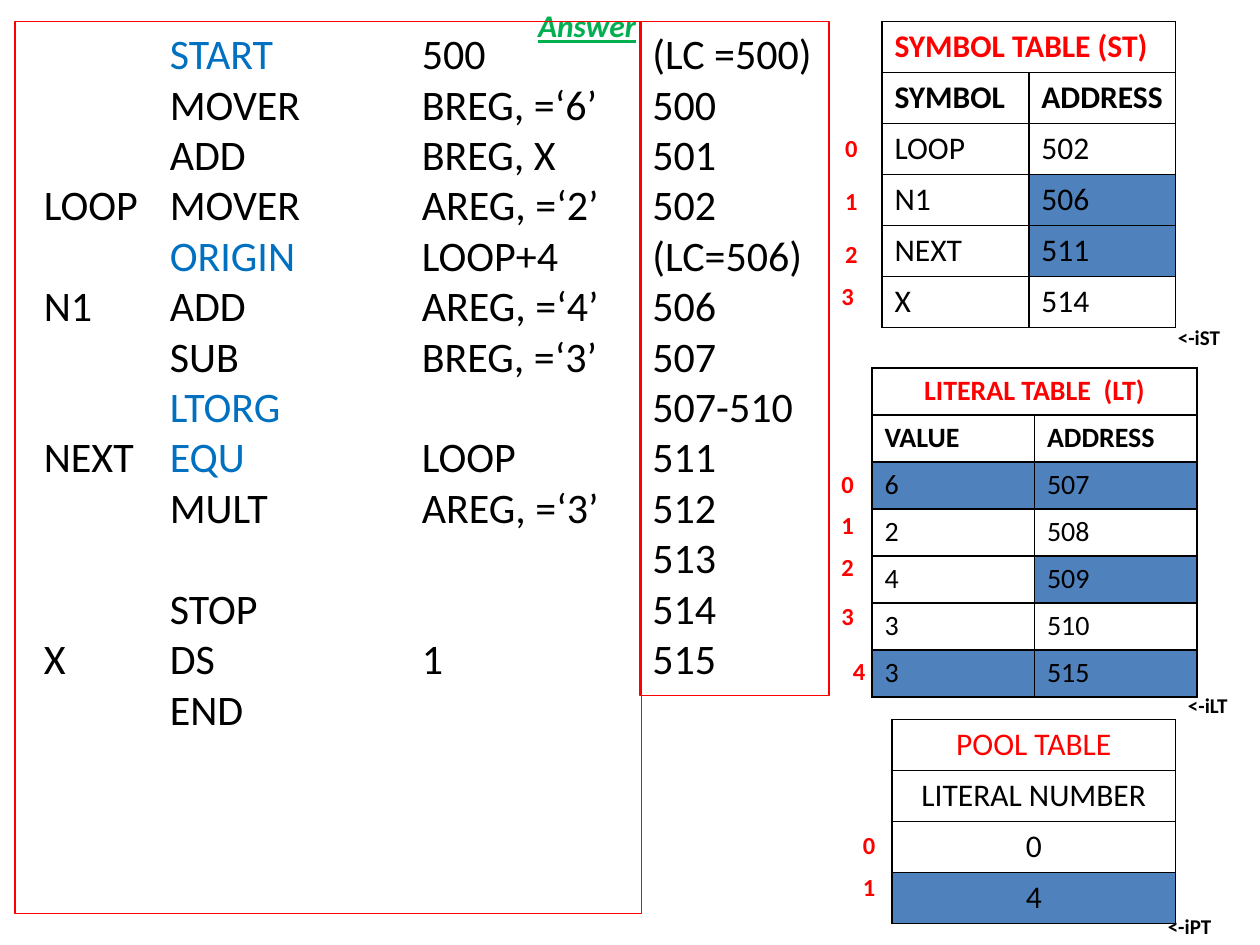
from dataclasses import dataclass

import pptx
import pptx.dml.color
import pptx.enum.shapes
import pptx.enum.text
import pptx.oxml
import pptx.oxml.ns
import pptx.util
from lxml import etree

Inches = pptx.util.Inches
Pt = pptx.util.Pt
RGBColor = pptx.dml.color.RGBColor
PP_ALIGN = pptx.enum.text.PP_ALIGN
qn = pptx.oxml.ns.qn

BLACK = RGBColor(0, 0, 0)
RED = RGBColor(0xFF, 0, 0)
BLUE = RGBColor(0, 0x70, 0xC0)
GREEN = RGBColor(0, 0xB0, 0x50)
HIGHLIGHT = RGBColor(0x4F, 0x81, 0xBD)
FONT = "Calibri"


@dataclass
class CodeLine:
    label: str
    opcode: str
    operand: str = ""
    directive: bool = False
    gap: float = 0


@dataclass
class Grid:
    left: float
    top: float
    width: float
    height: float
    size: int
    rows: list[list[str]]
    filled: set[tuple[int, int]]
    bold_rows: int = 2
    title_align: PP_ALIGN = PP_ALIGN.LEFT
    body_align: PP_ALIGN = PP_ALIGN.LEFT


@dataclass
class Label:
    text: str
    left: float
    top: float
    width: float = 0.3
    height: float = 0.34
    size: int = 14
    color: RGBColor = RED


CODE = [
    CodeLine("", "START", "500", True),
    CodeLine("", "MOVER", "BREG, =‘6’"),
    CodeLine("", "ADD", "BREG, X"),
    CodeLine("LOOP", "MOVER", "AREG, =‘2’"),
    CodeLine("", "ORIGIN", "LOOP+4", True),
    CodeLine("N1", "ADD", "AREG, =‘4’"),
    CodeLine("", "SUB", "BREG, =‘3’"),
    CodeLine("", "LTORG", "", True),
    CodeLine("NEXT", "EQU", "LOOP", True),
    CodeLine("", "MULT", "AREG, =‘3’"),
    CodeLine("", "STOP", gap=29),
    CodeLine("X", "DS", "1"),
    CodeLine("", "END"),
]
COUNTER = ["(LC =500)", "500", "501", "502", "(LC=506)", "506", "507",
           "507-510", "511", "512", "513", "514", "515"]
GRIDS = [
    Grid(7, 0.17, 2.33, 2.43, 18,
         [["SYMBOL TABLE (ST)", ""], ["SYMBOL", "ADDRESS"], ["LOOP", "502"],
          ["N1", "506"], ["NEXT", "511"], ["X", "514"]],
         {(3, 1), (4, 1)}),
    Grid(6.92, 2.92, 2.58, 2.61, 16,
         [["LITERAL TABLE  (LT)", ""], ["VALUE", "ADDRESS"], ["6", "507"],
          ["2", "508"], ["4", "509"], ["3", "510"], ["3", "515"]],
         {(2, 0), (2, 1), (4, 1), (6, 0), (6, 1)}, title_align=PP_ALIGN.CENTER),
    Grid(7.08, 5.71, 2.25, 1.62, 18,
         [["POOL TABLE"], ["LITERAL NUMBER"], ["0"], ["4"]], {(3, 0)},
         bold_rows=0, title_align=PP_ALIGN.CENTER, body_align=PP_ALIGN.CENTER),
]
INDEX_PLACES = [
    [(6.61, 1.01), (6.61, 1.43), (6.61, 1.85), (6.58, 2.18)],
    [(6.58, 3.67), (6.58, 4), (6.58, 4.33), (6.58, 4.72), (6.67, 5.16)],
    [(6.75, 6.54), (6.75, 6.87)],
]
POINTERS = [("<-iST", 9.25, 2.53), ("<-iLT", 9.33, 5.45), ("<-iPT", 9.17, 7.2)]


def style(font, size: int, color: RGBColor, bold: bool = False) -> None:
    font.name = FONT
    font.size = Pt(size)
    font.bold = bold
    font.color.rgb = color


def add_frame(s, left: float, top: float, width: float, height: float):
    sp = s.shapes.add_shape(pptx.enum.shapes.MSO_SHAPE.RECTANGLE, Inches(left),
                            Inches(top), Inches(width), Inches(height))
    sp.shadow.inherit = False
    sp.fill.background()
    sp.line.color.rgb = RED
    sp.line.width = Pt(0.75)
    return sp


def add_counter(s) -> None:
    tf = add_frame(s, 5.08, 0.17, 1.5, 5.35).text_frame
    tf.word_wrap = True
    tf.vertical_anchor = pptx.enum.text.MSO_ANCHOR.TOP
    tf.text = "\n".join(COUNTER)
    for p in tf.paragraphs:
        p.alignment = PP_ALIGN.LEFT
        style(p.font, 24, BLACK)


def set_tabs(p, stops: list[float]) -> None:
    tabs = etree.Element(qn("a:tabLst"))
    for stop in stops:
        etree.SubElement(tabs, qn("a:tab"), pos=str(Inches(stop)), algn="l")
    p._p.get_or_add_pPr().insert_element_before(tabs, "a:defRPr", "a:extLst")


def add_code(s) -> None:
    tf = s.shapes.add_textbox(Inches(0.25), Inches(0.17), Inches(4.67), Inches(5.35)).text_frame
    tf.word_wrap = True
    for i, line in enumerate(CODE):
        p = tf.paragraphs[0] if i == 0 else tf.add_paragraph()
        p.space_before = Pt(line.gap)
        style(p.font, 24, BLACK)
        set_tabs(p, [1, 3])
        p.add_run().text = line.label + "\t"
        r = p.add_run()
        r.text = line.opcode
        if line.directive:
            r.font.color.rgb = BLUE
        if line.operand:
            p.add_run().text = "\t" + line.operand


def add_borders(cell) -> None:
    tc_pr = cell._tc.get_or_add_tcPr()
    for i, side in enumerate(("a:lnL", "a:lnR", "a:lnT", "a:lnB")):
        ln = etree.Element(qn(side), w=str(Pt(1)))
        fill = etree.SubElement(ln, qn("a:solidFill"))
        etree.SubElement(fill, qn("a:srgbClr"), val=str(BLACK))
        tc_pr.insert(i, ln)


def add_grid(s, grid: Grid) -> None:
    n_rows, n_cols = len(grid.rows), len(grid.rows[0])
    table = s.shapes.add_table(n_rows, n_cols, Inches(grid.left), Inches(grid.top),
                               Inches(grid.width), Inches(grid.height)).table
    table.first_row = table.horz_banding = False
    for i, row in enumerate(grid.rows):
        for j, text in enumerate(row):
            cell = table.cell(i, j)
            if (i, j) in grid.filled:
                cell.fill.solid()
                cell.fill.fore_color.rgb = HIGHLIGHT
            else:
                cell.fill.background()
            add_borders(cell)
            cell.text = text
            p = cell.text_frame.paragraphs[0]
            p.alignment = grid.body_align if i else grid.title_align
            style(p.font, grid.size, BLACK if i else RED, i < grid.bold_rows)
    if n_cols > 1:
        table.cell(0, 0).merge(table.cell(0, n_cols - 1))


def add_label(s, label: Label) -> None:
    tf = s.shapes.add_textbox(Inches(label.left), Inches(label.top),
                              Inches(label.width), Inches(label.height)).text_frame
    tf.word_wrap = False
    tf.auto_size = pptx.enum.text.MSO_AUTO_SIZE.SHAPE_TO_FIT_TEXT
    tf.text = label.text
    style(tf.paragraphs[0].font, label.size, label.color, True)


def set_title(s) -> None:
    sp = s.shapes.title
    sp.left, sp.top, sp.width, sp.height = Inches(4.17), Inches(0), Inches(0.99), Inches(0.4)
    tf = sp.text_frame
    tf.text = "Answer"
    tf.word_wrap = False
    tf.auto_size = pptx.enum.text.MSO_AUTO_SIZE.NONE
    tf.vertical_anchor = pptx.enum.text.MSO_ANCHOR.TOP
    p = tf.paragraphs[0]
    p.alignment = PP_ALIGN.LEFT
    style(p.font, 18, GREEN, True)
    p.font.italic = p.font.underline = True


prs = pptx.Presentation()
prs.slide_width, prs.slide_height = Inches(10), Inches(7.5)
s = prs.slides.add_slide(prs.slide_layouts[5])
set_title(s)
add_frame(s, 0.12, 0.17, 4.97, 7.08)
add_counter(s)
add_code(s)
for grid, places in zip(GRIDS, INDEX_PLACES):
    add_grid(s, grid)
    for i, (left, top) in enumerate(places):
        add_label(s, Label(str(i), left, top))
for text, left, top in POINTERS:
    add_label(s, Label(text, left, top, 0.56, 0.3, 12, BLACK))
prs.save("out.pptx")
